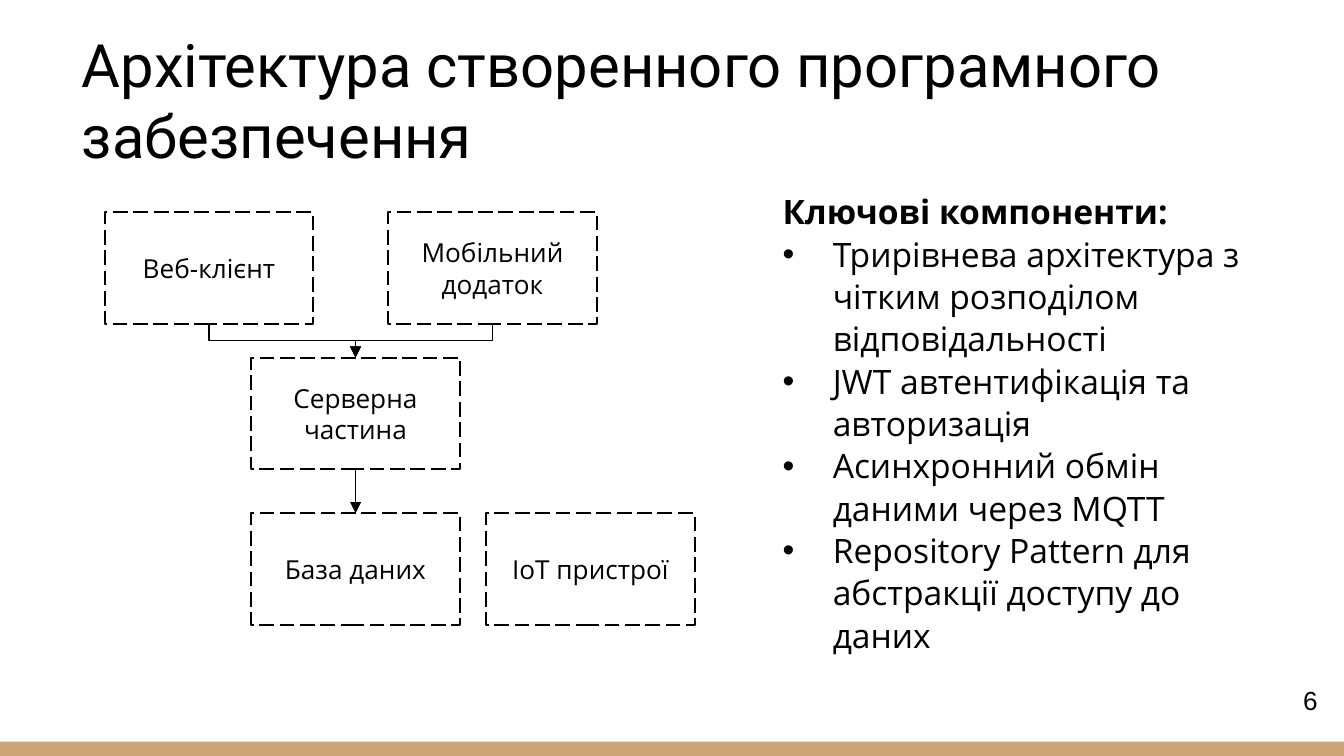
from dataclasses import dataclass

from lxml.etree import SubElement
from pptx import Presentation
from pptx.dml.color import RGBColor
from pptx.enum.dml import MSO_LINE
from pptx.enum.shapes import MSO_CONNECTOR, MSO_SHAPE
from pptx.enum.text import MSO_ANCHOR, MSO_AUTO_SIZE, PP_ALIGN
from pptx.oxml.ns import qn
from pptx.shapes.connector import Connector
from pptx.slide import Slide
from pptx.text.text import TextFrame, _Paragraph as Para
from pptx.util import Cm, Pt


@dataclass(frozen=True)
class Theme:
    ink: RGBColor = RGBColor(0, 0, 0)
    paper: RGBColor = RGBColor(255, 255, 255)
    band: RGBColor = RGBColor(0xCC, 0xA6, 0x77)
    head: str = "Roboto"
    body: str = "Open Sans"
    plain: str = "Arial"
    title: float = 32
    list: float = 18
    label: float = 14
    edge: float = 1
    wire: float = 0.75


@dataclass(frozen=True)
class Node:
    """A diagram box; all lengths are in centimetres."""
    text: str
    left: float
    top: float
    width: float = 3.94
    height: float = 2.11

    @property
    def mid(self) -> float:
        return self.left + self.width / 2

    @property
    def base(self) -> float:
        return self.top + self.height


THEME = Theme()
ROWS = (4.01, 6.76, 9.7)
WEB = Node("Веб-клієнт", 1.98, ROWS[0])
PHONE = Node("Мобільний додаток", 7.34, ROWS[0])
SERVER = Node("Серверна частина", 4.75, ROWS[1])
DATA = Node("База даних", 4.75, ROWS[2])
DEVICE = Node("ІоТ пристрої", 9.19, ROWS[2])
NODES = (WEB, PHONE, SERVER, DATA, DEVICE)
LINKS = ((WEB, SERVER), (PHONE, SERVER), (SERVER, DATA))
POINTS = (
    "Трирівнева архітектура з чітким розподілом відповідальності",
    "JWT автентифікація та авторизація",
    "Асинхронний обмін даними через MQTT",
    "Repository Pattern для абстракції доступу до даних",
)


def add_run(para: Para, text: str, size: float, face: str, bold: bool = False) -> None:
    run = para.add_run()
    run.text = text
    run.font.size = Pt(size)
    run.font.name = face
    run.font.bold = bold
    run.font.color.rgb = THEME.ink


def add_box(slide: Slide, left: float, top: float, width: float, height: float,
            wrap: bool = True) -> TextFrame:
    box = slide.shapes.add_textbox(Cm(left), Cm(top), Cm(width), Cm(height))
    frame = box.text_frame
    frame.word_wrap = wrap
    frame.margin_left = frame.margin_right = Cm(0.25)
    frame.margin_top = frame.margin_bottom = Cm(0.25)
    return frame


def indent(para: Para, mark: str = "") -> None:
    """Hang the paragraph, with a bullet if a mark is given."""
    para.line_spacing = 1.05
    props = para._p.get_or_add_pPr()
    props.set("marL", str(Cm(1.27)))
    props.set("indent", str(Cm(-0.95)))
    if mark:
        tint = SubElement(props, qn("a:buClr"))
        SubElement(tint, qn("a:srgbClr"), val=str(THEME.ink))
        SubElement(props, qn("a:buFont"), typeface=THEME.plain)
        SubElement(props, qn("a:buChar"), char=mark)


def add_list(slide: Slide) -> None:
    frame = add_box(slide, 14.22, 3.33, 10.34, 9.58)
    para = frame.paragraphs[0]
    indent(para)
    add_run(para, "Ключові компоненти:", THEME.list, THEME.body, bold=True)
    for point in POINTS:
        para = frame.add_paragraph()
        indent(para, "•")
        add_run(para, point, THEME.list, THEME.body)


def add_node(slide: Slide, node: Node) -> None:
    shape = slide.shapes.add_shape(MSO_SHAPE.RECTANGLE, Cm(node.left), Cm(node.top),
                                   Cm(node.width), Cm(node.height))
    shape.shadow.inherit = False
    shape.fill.solid()
    shape.fill.fore_color.rgb = THEME.paper
    shape.line.color.rgb = THEME.ink
    shape.line.width = Pt(THEME.edge)
    shape.line.dash_style = MSO_LINE.LONG_DASH
    frame = shape.text_frame
    frame.word_wrap = True
    frame.vertical_anchor = MSO_ANCHOR.MIDDLE
    para = frame.paragraphs[0]
    para.alignment = PP_ALIGN.CENTER
    add_run(para, node.text, THEME.label, THEME.body)


def style(wire: Connector) -> None:
    wire.line.color.rgb = THEME.ink
    wire.line.width = Pt(THEME.wire)
    SubElement(wire.line._get_or_add_ln(), qn("a:tailEnd"), type="triangle")
    SubElement(wire._element.spPr, qn("a:effectLst"))


def add_link(slide: Slide, start: Node, end: Node) -> None:
    """Join two boxes from base to top; an elbow is turned to leave downwards."""
    shift, drop = end.mid - start.mid, end.top - start.base
    if shift == 0:
        wire = slide.shapes.add_connector(MSO_CONNECTOR.STRAIGHT, Cm(start.mid),
                                          Cm(start.base), Cm(end.mid), Cm(end.top))
    else:
        span = abs(shift)
        left = (start.mid + end.mid - drop) / 2
        top = (start.base + end.top - span) / 2
        wire = slide.shapes.add_connector(MSO_CONNECTOR.ELBOW, Cm(left), Cm(top),
                                          Cm(left + drop), Cm(top + span))
        frame = wire._element.spPr.find(qn("a:xfrm"))
        frame.set("rot", str((270 if shift > 0 else 90) * 60000))
        if shift > 0:
            frame.set("flipH", "1")
    style(wire)


def add_band(slide: Slide) -> None:
    band = slide.shapes.add_shape(MSO_SHAPE.RECTANGLE, 0, Cm(14.02), Cm(25.4), Cm(0.27))
    band.shadow.inherit = False
    band.fill.solid()
    band.fill.fore_color.rgb = THEME.band
    band.line.fill.background()


def main() -> None:
    deck = Presentation()
    deck.slide_width, deck.slide_height = Cm(25.4), Cm(14.29)
    slide = deck.slides.add_slide(deck.slide_layouts[6])
    add_band(slide)
    title = add_box(slide, 1.3, 0.76, 21.49, 2.72)
    title.vertical_anchor = MSO_ANCHOR.BOTTOM
    add_run(title.paragraphs[0], "Архітектура створенного програмного забезпечення",
            THEME.title, THEME.head)
    add_list(slide)
    page = add_box(slide, 24.38, 12.8, 0.79, 0.86, wrap=False)
    page.margin_top = page.margin_bottom = Cm(0.13)
    page.auto_size = MSO_AUTO_SIZE.SHAPE_TO_FIT_TEXT
    add_run(page.paragraphs[0], "6", THEME.label, THEME.plain)
    for node in NODES:
        add_node(slide, node)
    for start, end in LINKS:
        add_link(slide, start, end)
    deck.save("out.pptx")


if __name__ == "__main__":
    main()
